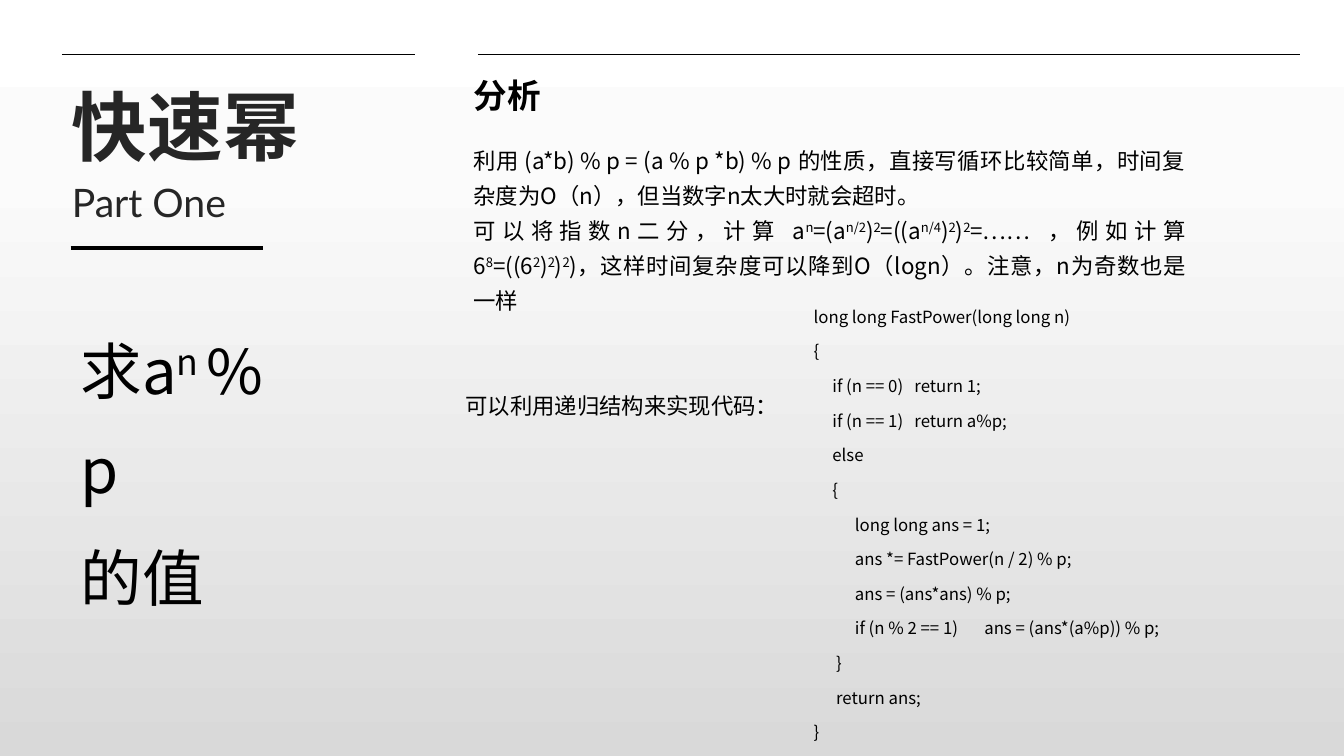
"""Build the slide on fast exponentiation."""
import copy
import pptx
import pptx.util
import pptx.dml.color
import pptx.enum.shapes
import pptx.enum.text
import pptx.oxml.ns

Pt = pptx.util.Pt
RGB = pptx.dml.color.RGBColor.from_string
qn = pptx.oxml.ns.qn
ALIGN = pptx.enum.text.PP_ALIGN
ANCHOR = pptx.enum.text.MSO_ANCHOR

THEME = {
    "ink": "000000", "soft": "262626",
    "back": [(0, "FFFFFF"), (0.23, "FBFBFB"), (1, "D9D9D9")],
    "head": "Lato", "text": "Noto Sans CJK SC",
    "title": 54, "part": 28, "topic": 24, "task": 44, "body": 16, "code": 12,
    "thin": 0.5, "thick": 3,
}

deck = pptx.Presentation()
deck.slide_width = pptx.util.Inches(13.333)
deck.slide_height = pptx.util.Inches(7.5)
slide = deck.slides.add_slide(deck.slide_layouts[1])


def place(x, y, w=0, h=0):
    """Turn percent shares of the slide into lengths."""
    wide, high = deck.slide_width / 100, deck.slide_height / 100
    return int(x * wide), int(y * high), int(w * wide), int(h * high)


def write(shape, lines, size, font="text", color="ink", bold=False,
          gap=0, pitch=None, align=ALIGN.LEFT, wrap=True):
    """Fill a shape; text between carets is raised."""
    frame = shape.text_frame
    frame.auto_size = pptx.enum.text.MSO_AUTO_SIZE.NONE
    frame.word_wrap = wrap
    for row, line in enumerate(lines):
        para = frame.add_paragraph() if row else frame.paragraphs[0]
        para.alignment = align
        para.space_before = Pt(gap if row else 0)
        para.line_spacing = pitch
        for spot, part in enumerate(line.split("^")):
            run = para.add_run()
            run.text = part
            run.font.size = Pt(THEME[size])
            run.font.name = THEME[font]
            run.font.bold = bold
            run.font.color.rgb = RGB(THEME[color])
            props = run._r.get_or_add_rPr()
            east = copy.deepcopy(props.find(qn("a:latin")))
            east.tag = qn("a:ea")
            east.set("typeface", THEME["text"])
            props.find(qn("a:latin")).addnext(east)
            if spot % 2:
                props.set("baseline", "30000")


fill = slide.background.fill
fill.gradient()
fill.gradient_angle = 270
stops = slide.element.find(".//" + qn("a:gsLst"))
stops.append(copy.deepcopy(stops[-1]))
for stop, (spot, color) in zip(fill.gradient_stops, THEME["back"]):
    stop.position = spot
    stop.color.rgb = RGB(color)

for left, right, y, width in [(4.6, 30.9, 7.2, "thin"),
                              (35.55, 96.7, 7.2, "thin"),
                              (5.25, 19.6, 32.8, "thick")]:
    start, end = place(left, y), place(right, y)
    rule = slide.shapes.add_connector(
        pptx.enum.shapes.MSO_CONNECTOR.STRAIGHT, *start[:2], *end[:2])
    rule.line.color.rgb = RGB(THEME["ink"])
    rule.line.width = Pt(THEME[width])
    props = rule.element.spPr
    props.append(props.makeelement(qn("a:effectLst"), {}))

title, part = slide.placeholders
for shape, line, y, h, size in [(title, "快速幂", 10.5, 12.9, "title"),
                                (part, "Part One", 23.6, 6.9, "part")]:
    shape.left, shape.top, shape.width, shape.height = place(4.6, y, 25.9, h)
    shape.text_frame.vertical_anchor = ANCHOR.BOTTOM
    props = shape.text_frame.paragraphs[0]._p.get_or_add_pPr()
    props.set("marL", "0")
    props.set("indent", "0")
    props.append(props.makeelement(qn("a:buNone"), {}))
    write(shape, [line], size, "head", "soft", size == "title", pitch=0.9)

task = slide.shapes.add_textbox(*place(5.25, 40, 19.95, 28.1))
task.text_frame.margin_right = place(3, 0)[0]
write(task, ["求a^n ^% p", "的值"], "task", gap=6, pitch=Pt(71))

topic = slide.shapes.add_textbox(*place(34.5, 9.2, 6.6, 6.7))
write(topic, ["分析"], "topic", "head", bold=True, wrap=False)

idea = slide.shapes.add_textbox(*place(34.5, 17.7, 54.45, 24.7))
write(idea, [
    "利用 (a*b) % p = (a % p *b) % p 的性质，直接写循环比较简单，"
    "时间复杂度为O（n），但当数字n太大时就会超时。",
    "可以将指数n二分，计算 a^n^=(a^n/2^)^2^=((a^n/4^)^2^)^2^=…… ，"
    "例如计算 6^8^=((6^2^)^2^)^2^)，这样时间复杂度可以降到O（logn）。"
    "注意，n为奇数也是一样",
], "body", pitch=Pt(25), align=ALIGN.JUSTIFY)

hint = slide.shapes.add_textbox(*place(33.9, 50.1, 25.8, 6))
write(hint, ["可以利用递归结构来实现代码："], "body", pitch=Pt(25),
      align=ALIGN.JUSTIFY)

code = slide.shapes.add_textbox(*place(59.8, 39.1, 37.05, 60.3))
write(code, [
    "long long FastPower(long long n)",
    "{",
    "     if (n == 0)\treturn 1;",
    "     if (n == 1)\treturn a%p;",
    "     else",
    "     {",
    "           long long ans = 1;",
    "           ans *= FastPower(n / 2) % p;",
    "           ans = (ans*ans) % p;",
    "           if (n % 2 == 1)       ans = (ans*(a%p)) % p;",
    "      }",
    "      return ans;",
    "}",
], "code", gap=6, pitch=Pt(18.7))

deck.save("out.pptx")
